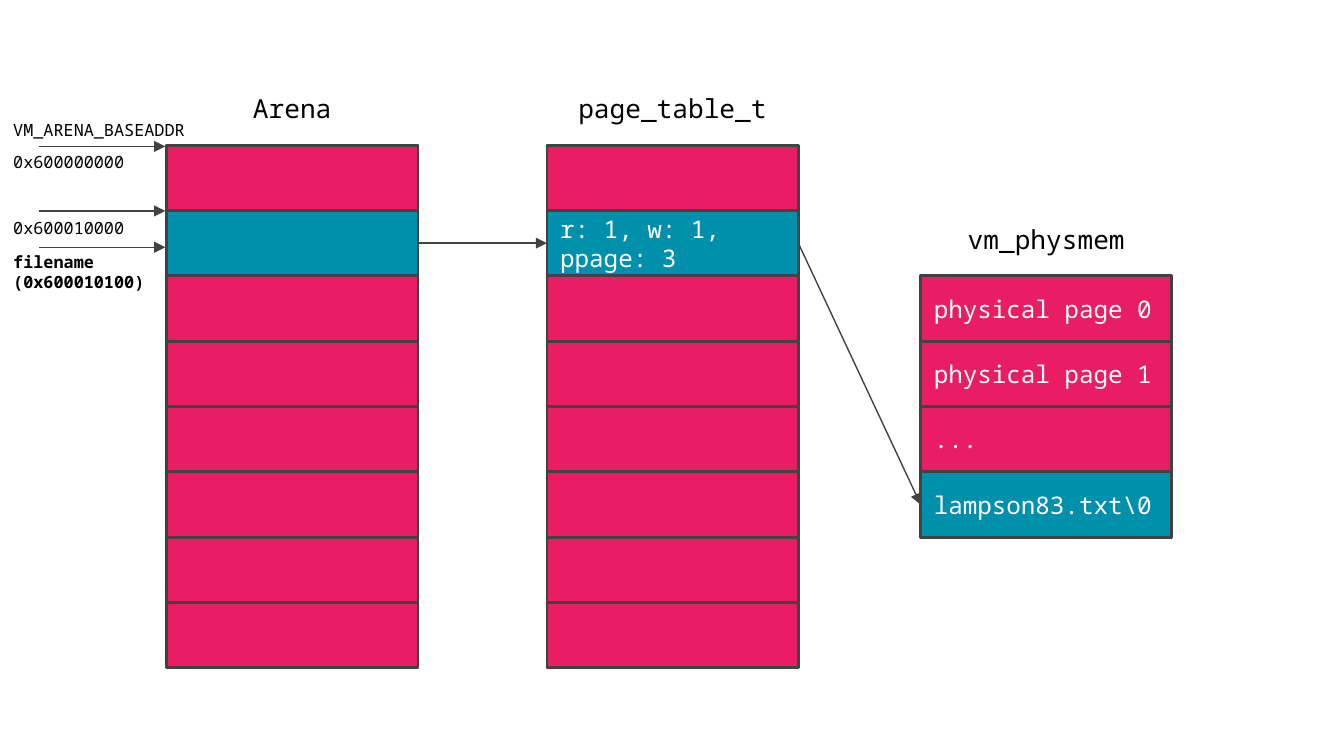
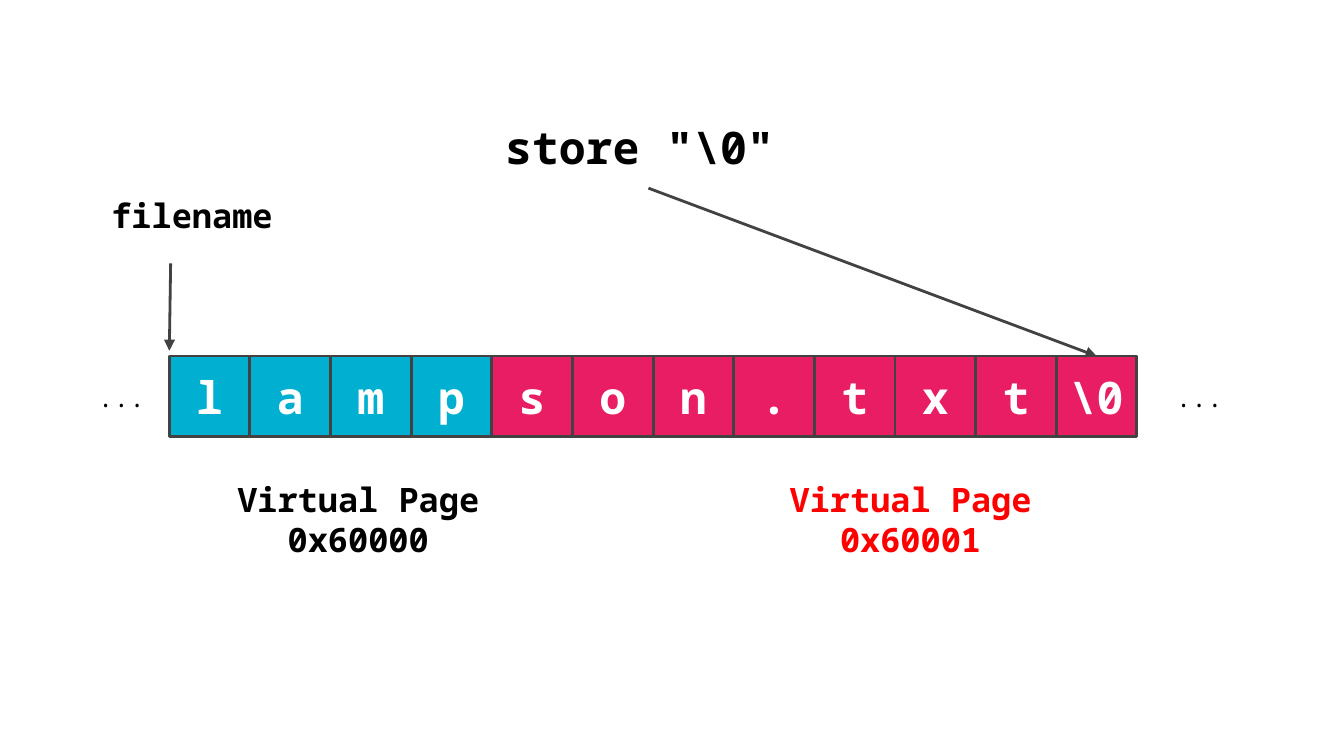
"""Build two slides that explain virtual memory pages and a string crossing a page boundary."""
import lxml.etree
import pptx
import pptx.dml.color
import pptx.enum.shapes
import pptx.enum.text
import pptx.oxml.ns
import pptx.util

Inches = pptx.util.Inches
RGBColor = pptx.dml.color.RGBColor
LEFT = pptx.enum.text.PP_ALIGN.LEFT
CENTER = pptx.enum.text.PP_ALIGN.CENTER
TOP = pptx.enum.text.MSO_ANCHOR.TOP
MIDDLE = pptx.enum.text.MSO_ANCHOR.MIDDLE
FIXED = pptx.enum.text.MSO_AUTO_SIZE.NONE
GROW = pptx.enum.text.MSO_AUTO_SIZE.SHAPE_TO_FIT_TEXT
SIDE_TOP, SIDE_LEFT, SIDE_BOTTOM, SIDE_RIGHT = range(4)

PINK = RGBColor(0xE9, 0x1D, 0x63)
TEAL = RGBColor(0x00, 0x90, 0xAC)
CYAN = RGBColor(0x01, 0xAF, 0xD1)
GRAY = RGBColor(0x42, 0x42, 0x42)
BLACK = RGBColor(0x00, 0x00, 0x00)
WHITE = RGBColor(0xFF, 0xFF, 0xFF)
RED = RGBColor(0xFF, 0x00, 0x00)

FONT = "Noto Sans Mono"
FRAME_FORMAT = {
    "word_wrap": True,
    "margin_left": Inches(0.1),
    "margin_top": Inches(0.1),
    "margin_right": Inches(0.1),
    "margin_bottom": Inches(0.1),
}


def add_block(slide, place, text="", size=13, color=BLACK, bold=False,
              align=LEFT, fill=None, outlined=False, fit=FIXED):
    place = [Inches(length) for length in place]
    if outlined:
        shape = slide.shapes.add_shape(pptx.enum.shapes.MSO_SHAPE.RECTANGLE, *place)
        shape.shadow.inherit = False
        shape.line.color.rgb = GRAY
        shape.line.width = pptx.util.Pt(1.5)
        if fill is None:
            shape.fill.background()
        else:
            shape.fill.solid()
            shape.fill.fore_color.rgb = fill
    else:
        shape = slide.shapes.add_textbox(*place)
    if text:
        frame = shape.text_frame
        frame.text = text
        for name, value in FRAME_FORMAT.items():
            setattr(frame, name, value)
        frame.auto_size = fit
        frame.vertical_anchor = MIDDLE if outlined else TOP
        for paragraph in frame.paragraphs:
            paragraph.alignment = align
            font = paragraph.runs[0].font
            for name, value in {"name": FONT, "size": pptx.util.Pt(size), "bold": bold}.items():
                setattr(font, name, value)
            font.color.rgb = color
    return shape


def add_arrow(slide, start, end, width):
    connector = slide.shapes.add_connector(
        pptx.enum.shapes.MSO_CONNECTOR.STRAIGHT,
        *[Inches(length) for length in (*start, *end)])
    connector.line.color.rgb = GRAY
    connector.line.width = pptx.util.Pt(width)
    qn = pptx.oxml.ns.qn
    properties = connector.element.spPr
    lxml.etree.SubElement(properties.find(qn("a:ln")), qn("a:tailEnd"), type="triangle")
    lxml.etree.SubElement(properties, qn("a:effectLst"))
    return connector


presentation = pptx.Presentation()
presentation.slide_width = Inches(10)
presentation.slide_height = presentation.slide_width * 9 // 16
blank_layout = presentation.slide_layouts[6]

memory_slide = presentation.slides.add_slide(blank_layout)
COLUMN_WIDTH = 1.87
COLUMN_TOP = 1.08
ROW_HEIGHT = 3.89 / 8
TITLE_HEIGHT = 0.49

columns = [
    ("Arena", 1.24, 0, 0, [""] * 8, 1),
    ("vm_physmem", 6.85, 0.06, 2,
     ["physical page 0", "physical page 1", "...", "lampson83.txt\\0"], 3),
    ("page_table_t", 4.07, 0, 0, ["", "r: 1, w: 1, ppage: 3"] + [""] * 6, 1),
]
mapped_cells = {}

add_block(memory_slide, (0, 1.03, 1.65, 0.29), "0x600000000", 9)
for title, left, overhang, first_row, rows, mapped_row in columns:
    top = COLUMN_TOP + first_row * ROW_HEIGHT
    add_block(memory_slide, (left, top, COLUMN_WIDTH, len(rows) * ROW_HEIGHT), outlined=True)
    add_block(memory_slide, (left - overhang, top - TITLE_HEIGHT,
                             COLUMN_WIDTH + 2 * overhang, TITLE_HEIGHT),
              title, 14, align=CENTER)
    for row, text in enumerate(rows):
        cell = add_block(memory_slide, (left, top + row * ROW_HEIGHT, COLUMN_WIDTH, ROW_HEIGHT),
                         text, color=WHITE, fill=TEAL if row == mapped_row else PINK,
                         outlined=True)
        if row == mapped_row:
            mapped_cells[title] = cell

for source, target, start, end in [
    ("Arena", "page_table_t", (3.11, 1.81), (4.07, 1.81)),
    ("page_table_t", "vm_physmem", (5.94, 1.81), (6.85, 3.75)),
]:
    arrow = add_arrow(memory_slide, start, end, 0.75)
    arrow.begin_connect(mapped_cells[source], SIDE_RIGHT)
    arrow.end_connect(mapped_cells[target], SIDE_LEFT)

for top, height, text, bold in [
    (0.79, 0.29, "VM_ARENA_BASEADDR", False),
    (1.52, 0.29, "0x600010000", False),
    (1.77, 0.49, "filename\n(0x600010100)", True),
]:
    add_block(memory_slide, (0, top, 1.65, height), text, 9, bold=bold)
for level in (1.09, 1.57, 1.84):
    add_arrow(memory_slide, (0.29, level), (1.23, level), 0.75)

string_slide = presentation.slides.add_slide(blank_layout)
CELL_SIZE = 0.6
STRING_LEFT, STRING_TOP = 1.26, 2.65
FIRST_PAGE_CELLS = 4

for index, character in enumerate([*"lampson.txt", "\\0"]):
    last_cell = add_block(
        string_slide, (STRING_LEFT + index * CELL_SIZE, STRING_TOP, CELL_SIZE, CELL_SIZE),
        character, 24, WHITE, True, CENTER,
        CYAN if index < FIRST_PAGE_CELLS else PINK, outlined=True)

for left in (0.63, 8.65):
    add_block(string_slide, (left, 2.74, 0.59, 0.44), "...", 14, fit=GROW)
for left, text, color in [
    (1.37, "Virtual Page 0x60000", BLACK),
    (5.48, "Virtual Page 0x60001", RED),
]:
    add_block(string_slide, (left, 3.46, 2.59, 0.81), text, 18, color, True, CENTER, fit=GROW)

add_block(string_slide, (0.73, 1.35, 1.52, 0.5), "filename", 18, bold=True, fit=GROW)
add_arrow(string_slide, (1.27, 1.96), (1.26, 2.61), 1.5)
store_label = add_block(string_slide, (3.66, 0.79, 2.33, 0.61), 'store "\\0"', 24,
                        bold=True, fit=GROW)
store_arrow = add_arrow(string_slide, (4.83, 1.4), (8.16, 2.65), 1.5)
store_arrow.begin_connect(store_label, SIDE_BOTTOM)
store_arrow.end_connect(last_cell, SIDE_TOP)

presentation.save("out.pptx")
